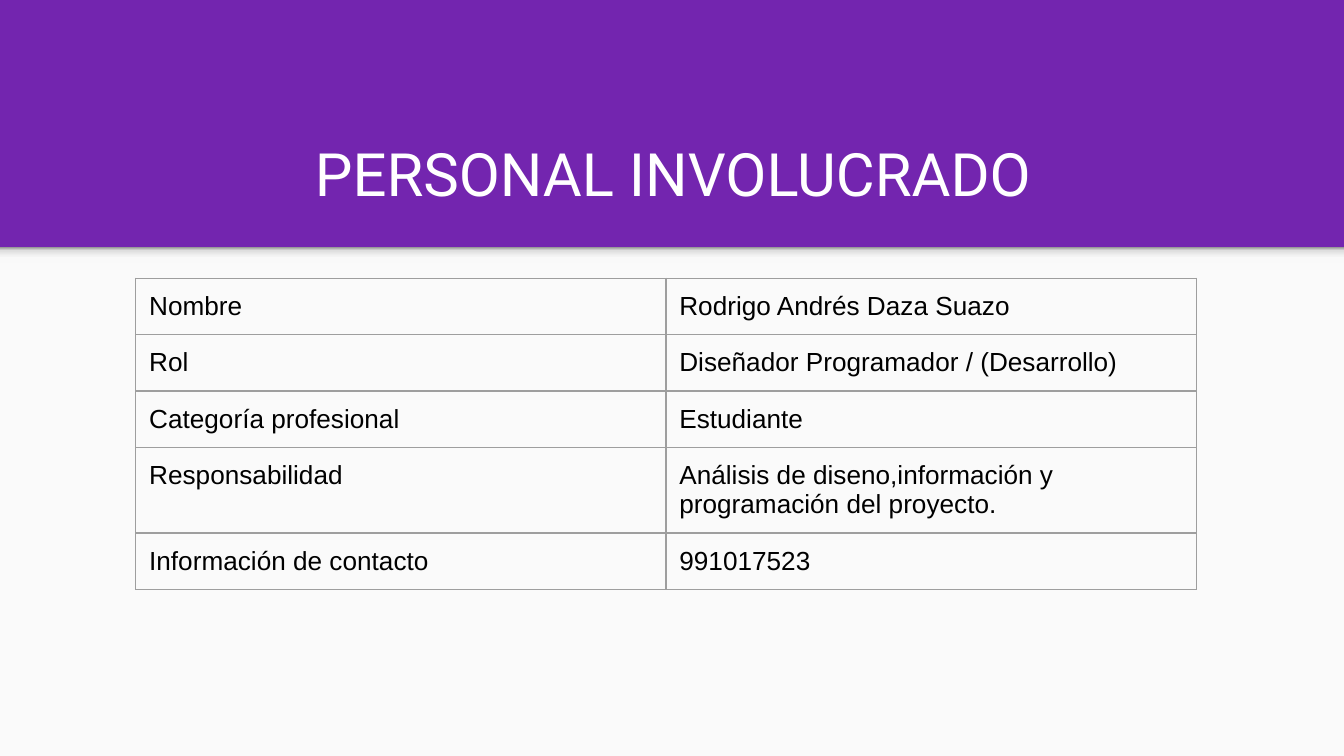
from dataclasses import dataclass

from lxml.etree import SubElement
from pptx import Presentation
from pptx.dml.color import RGBColor
from pptx.enum.shapes import MSO_SHAPE
from pptx.enum.text import MSO_ANCHOR, PP_ALIGN
from pptx.oxml import parse_xml
from pptx.oxml.ns import nsdecls, qn
from pptx.util import Inches, Pt


@dataclass(frozen=True)
class Theme:
    band: str = "7325AF"
    panel: str = "FAFAFA"
    title: str = "FFFFFF"
    text: str = "000000"
    border: str = "9E9E9E"
    shade: tuple = ((0, "F9F9F9"), (36, "F9F9F9"), (80, "DEDEDE"), (100, "999999"))
    title_font: str = "Roboto"
    text_font: str = "Arial"
    title_size: int = 32
    text_size: int = 14
    border_width: float = 0.75
    inset: float = 0.1


THEME = Theme()
SLIDE_W = Inches(10)
SLIDE_H = SLIDE_W * 9 // 16
PANEL_TOP = Inches(1.84)

STAFF = [
    ("Nombre", "Rodrigo Andrés Daza Suazo"),
    ("Rol", "Diseñador Programador / (Desarrollo)"),
    ("Categoría profesional", "Estudiante"),
    ("Responsabilidad", "Análisis de diseno,información y programación del proyecto."),
    ("Información de contacto", "991017523"),
]


def set_font(p, name, size, color):
    p.font.name = name
    p.font.size = Pt(size)
    p.font.color.rgb = RGBColor.from_string(color)


def set_margins(box):
    box.margin_left = box.margin_right = Inches(THEME.inset)
    box.margin_top = box.margin_bottom = Inches(THEME.inset)


def add_rect(s, top, height):
    sp = s.shapes.add_shape(MSO_SHAPE.RECTANGLE, 0, top, SLIDE_W, height)
    sp.shadow.inherit = False
    sp.line.fill.background()
    sp.fill.solid()
    sp.fill.fore_color.rgb = RGBColor.from_string(THEME.panel)
    return sp


def shade_upward(sp):
    """Fill with the theme's shade, darkest along the top edge."""
    sp.fill.gradient()
    sp.fill.gradient_angle = 90
    stops = sp.element.spPr.find(qn("a:gradFill")).find(qn("a:gsLst"))
    stops.clear()
    for pos, color in THEME.shade:
        stop = SubElement(stops, qn("a:gs"), pos=str(pos * 1000))
        SubElement(stop, qn("a:srgbClr"), val=color)


def set_title(s, text):
    sp = s.shapes.title
    sp.left, sp.top, sp.width, sp.height = map(Inches, (0.52, 0.81, 8.98, 0.84))
    tf = sp.text_frame
    tf.text = text
    tf.word_wrap = True
    tf.vertical_anchor = MSO_ANCHOR.BOTTOM
    set_margins(tf)
    p = tf.paragraphs[0]
    p.alignment = PP_ALIGN.CENTER
    set_font(p, THEME.title_font, THEME.title_size, THEME.title)


def set_borders(cell):
    tcPr = cell._tc.get_or_add_tcPr()
    for i, side in enumerate("LRTB"):
        tcPr.insert(i, parse_xml(
            f'<a:ln{side} {nsdecls("a")} w="{Pt(THEME.border_width)}"><a:solidFill>'
            f'<a:srgbClr val="{THEME.border}"/></a:solidFill></a:ln{side}>'))


def add_staff_table(s, rows):
    # The row with two lines of text grows to fit when drawn
    row_h = Inches(0.42)
    table = s.shapes.add_table(len(rows), 2, Inches(1.01), Inches(2.07),
                               Inches(7.89), row_h * len(rows)).table
    table.first_row = table.horz_banding = False
    for i, row in enumerate(rows):
        for j, text in enumerate(row):
            cell = table.cell(i, j)
            cell.text = text
            cell.fill.background()
            set_margins(cell)
            set_borders(cell)
            set_font(cell.text_frame.paragraphs[0],
                     THEME.text_font, THEME.text_size, THEME.text)


def main():
    prs = Presentation()
    prs.slide_width, prs.slide_height = SLIDE_W, SLIDE_H
    s = prs.slides.add_slide(prs.slide_layouts[5])

    # Purple band, light panel and the shade under the band
    s.background.fill.solid()
    s.background.fill.fore_color.rgb = RGBColor.from_string(THEME.band)
    add_rect(s, PANEL_TOP, SLIDE_H - PANEL_TOP)
    shade_upward(add_rect(s, PANEL_TOP, Inches(0.12)))

    # Title and staff details
    set_title(s, "PERSONAL INVOLUCRADO")
    add_staff_table(s, STAFF)

    prs.save("out.pptx")


if __name__ == "__main__":
    main()
